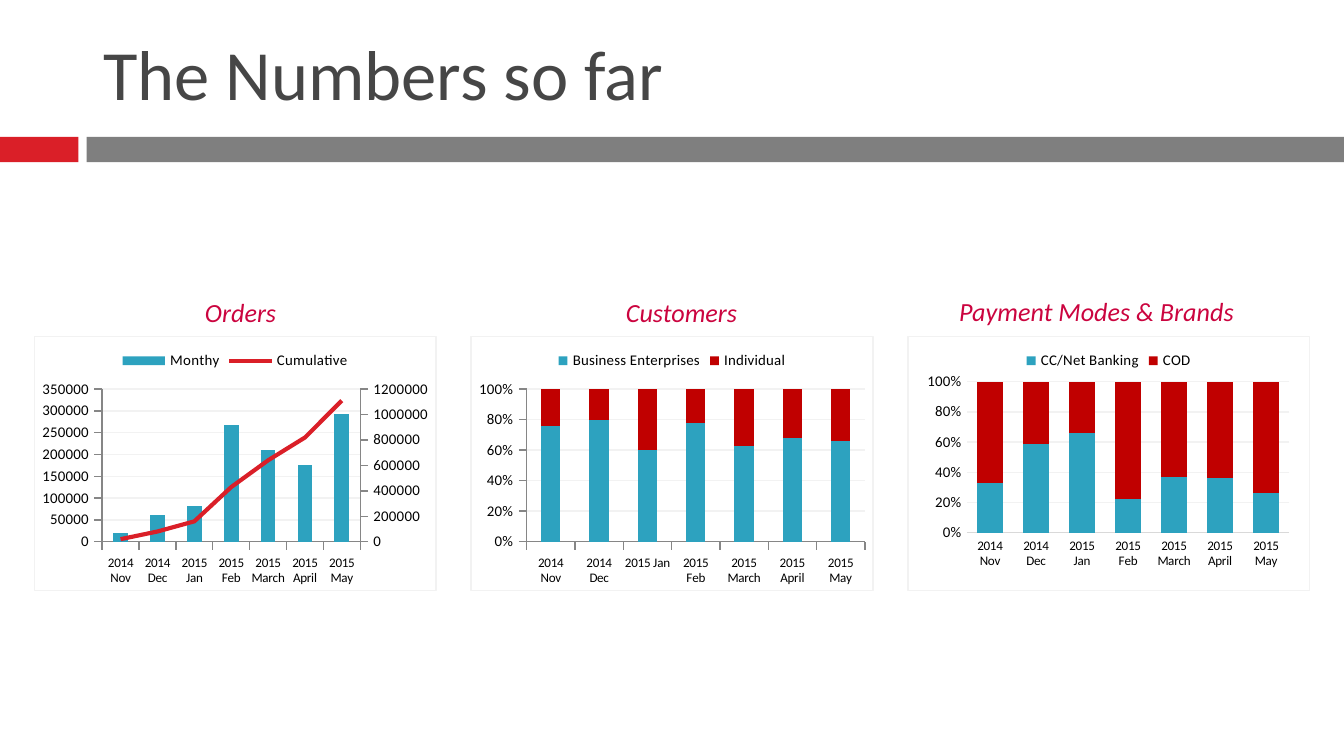
from dataclasses import dataclass
from typing import Optional

from pptx import Presentation
from pptx.chart.chart import Chart
from pptx.chart.data import CategoryChartData
from pptx.dml.color import RGBColor
from pptx.enum.chart import XL_CHART_TYPE as ChartType
from pptx.enum.chart import XL_LEGEND_POSITION as LegendPosition
from pptx.enum.chart import XL_MARKER_STYLE as MarkerStyle
from pptx.enum.chart import XL_TICK_MARK as TickMark
from pptx.enum.shapes import MSO_SHAPE as ShapeKind
from pptx.enum.text import MSO_ANCHOR as Anchor
from pptx.enum.text import MSO_AUTO_SIZE as AutoSize
from pptx.enum.text import PP_ALIGN as Align
from pptx.oxml import parse_xml
from pptx.oxml.ns import nsdecls, qn
from pptx.slide import Slide
from pptx.util import Pt


@dataclass(frozen=True)
class Theme:
    font: str = "Calibri"
    title: str = "464646"
    label: str = "CB043F"
    text: str = "000000"
    red: str = "DA1F28"
    grey: str = "7F7F7F"
    blue: str = "2DA2BF"
    dark_red: str = "C00000"
    axis: str = "868686"
    pale_axis: str = "D9D9D9"
    grid: str = "F2F2F2"
    title_size: float = 37.8
    label_size: float = 14
    chart_size: float = 8
    category_size: float = 7


@dataclass(frozen=True)
class Series:
    name: str
    values: tuple[int, ...]
    color: str


@dataclass(frozen=True)
class Panel:
    label: str
    label_left: float
    label_top: float
    kind: ChartType
    series: tuple[Series, Series]
    gap: int = 150
    ticks: bool = True
    plot: Optional[tuple[float, float, float, float]] = None


THEME = Theme()
MONTHS = ("2014 Nov", "2014 Dec", "2015 Jan", "2015 Feb", "2015 March", "2015 April", "2015 May")
PANELS = (
    Panel("Orders", 18, 155.5, ChartType.COLUMN_CLUSTERED, (
        Series("Monthy", (20000, 61000, 81000, 267000, 211000, 177000, 293000), THEME.blue),
        Series("Cumulative", (20000, 80000, 160000, 430000, 640000, 820000, 1110000), THEME.red))),
    Panel("Customers", 254.2, 155.5, ChartType.COLUMN_STACKED_100, (
        Series("Business Enterprises", (76, 80, 60, 78, 63, 68, 66), THEME.blue),
        Series("Individual", (24, 20, 40, 22, 37, 32, 34), THEME.dark_red))),
    Panel("Payment Modes & Brands", 476.6, 154.8, ChartType.COLUMN_STACKED_100, (
        Series("CC/Net Banking", (33, 59, 66, 22, 37, 36, 26), THEME.blue),
        Series("COD", (67, 41, 34, 78, 63, 64, 74), THEME.dark_red)),
        gap=75, ticks=False, plot=(0.147, 0.178, 0.802, 0.594)),
)
CHART_LEFT, CHART_TOP, CHART_STEP = 18, 180, 234
CHART_WIDTH, CHART_HEIGHT = 216, 136.8


def style_font(font, size: float, color: str) -> None:
    font.name = THEME.font
    font.size = Pt(size)
    font.color.rgb = RGBColor.from_string(color)


def style_line(line, color: str, width: float = 0.75) -> None:
    line.width = Pt(width)
    line.color.rgb = RGBColor.from_string(color)


def add_title(slide: Slide, text: str) -> None:
    title = slide.shapes.title
    title.left, title.top, title.width, title.height = Pt(48.2), Pt(9.4), Pt(642.2), Pt(55.4)
    frame = title.text_frame
    frame.text = text
    frame.vertical_anchor = Anchor.BOTTOM
    frame.auto_size = AutoSize.NONE
    para = frame.paragraphs[0]
    para.alignment = Align.LEFT
    style_font(para.runs[0].font, THEME.title_size, THEME.title)


def add_band(slide: Slide, left: float, width: float, color: str) -> None:
    band = slide.shapes.add_shape(ShapeKind.RECTANGLE, Pt(left), Pt(73.4), Pt(width), Pt(13.5))
    band.shadow.inherit = False
    band.fill.solid()
    band.fill.fore_color.rgb = RGBColor.from_string(color)
    band.line.fill.background()


def add_label(slide: Slide, panel: Panel) -> None:
    box = slide.shapes.add_textbox(Pt(panel.label_left), Pt(panel.label_top), Pt(221.8), Pt(24.5))
    frame = box.text_frame
    frame.word_wrap = True
    frame.auto_size = AutoSize.SHAPE_TO_FIT_TEXT
    frame.text = panel.label
    para = frame.paragraphs[0]
    para.alignment = Align.CENTER
    font = para.runs[0].font
    style_font(font, THEME.label_size, THEME.label)
    font.italic = True


def line_xml(color: str) -> str:
    return f'<a:ln w="9525"><a:solidFill><a:srgbClr val="{color}"/></a:solidFill></a:ln>'


def add_border(chart: Chart) -> None:
    border = parse_xml(f'<c:spPr {nsdecls("c", "a")}><a:noFill/>{line_xml(THEME.grid)}</c:spPr>')
    chart.element.find(qn("c:chart")).addnext(border)


def place_plot(chart: Chart, plot: tuple[float, float, float, float]) -> None:
    """Fix the inner plot area, given as fractions of the chart."""
    area = chart.element.find(".//" + qn("c:plotArea"))
    for layout in area.findall(qn("c:layout")):
        area.remove(layout)
    sizes = "".join(f'<c:{name} val="{value}"/>' for name, value in zip("xywh", plot))
    area.insert(0, parse_xml(
        f'<c:layout {nsdecls("c")}><c:manualLayout><c:layoutTarget val="inner"/>'
        f'<c:xMode val="edge"/><c:yMode val="edge"/>{sizes}</c:manualLayout></c:layout>'))


def move_to_right_axis(chart: Chart) -> None:
    """Turn the last column series into a line on a second value axis."""
    columns = chart.element.find(".//" + qn("c:barChart"))
    series = columns.findall(qn("c:ser"))[-1]
    for column_only in series.findall(qn("c:invertIfNegative")):
        series.remove(column_only)
    lines = parse_xml(
        f'<c:lineChart {nsdecls("c")}><c:grouping val="standard"/><c:varyColors val="0"/>'
        '<c:marker val="1"/><c:axId val="5001"/><c:axId val="5002"/></c:lineChart>')
    lines.insert(2, series)
    columns.addnext(lines)
    category_axis = parse_xml(
        f'<c:catAx {nsdecls("c")}><c:axId val="5001"/><c:scaling/><c:delete val="1"/>'
        '<c:axPos val="b"/><c:crossAx val="5002"/></c:catAx>')
    value_axis = parse_xml(
        f'<c:valAx {nsdecls("c", "a")}><c:axId val="5002"/><c:scaling/><c:delete val="0"/>'
        '<c:axPos val="r"/><c:numFmt formatCode="General" sourceLinked="0"/>'
        '<c:majorTickMark val="out"/><c:minorTickMark val="none"/><c:tickLblPos val="nextTo"/>'
        f'<c:spPr>{line_xml(THEME.axis)}</c:spPr>'
        '<c:crossAx val="5001"/><c:crosses val="max"/></c:valAx>')
    chart.element.find(".//" + qn("c:valAx")).addnext(value_axis)
    value_axis.addnext(category_axis)
    line = chart.plots[1].series[0]
    line.smooth = False
    line.marker.style = MarkerStyle.NONE
    style_line(line.format.line, THEME.red, 2.25)


def style_axes(chart: Chart, panel: Panel) -> None:
    tick = TickMark.OUTSIDE if panel.ticks else TickMark.NONE
    categories, values = chart.category_axis, chart.value_axis
    for axis in (categories, values):
        axis.major_tick_mark = tick
        axis.minor_tick_mark = TickMark.NONE
        style_line(axis.format.line, THEME.axis if panel.ticks else THEME.pale_axis)
    style_font(categories.tick_labels.font, THEME.category_size, THEME.text)
    category_text = chart.element.find(".//" + qn("c:catAx")).find(qn("c:txPr"))
    category_text.find(qn("a:bodyPr")).set("rot", "-60000000")
    if not panel.ticks:
        values.format.line.fill.background()
    values.has_major_gridlines = True
    style_line(values.major_gridlines.format.line, THEME.grid)
    stacked = panel.kind == ChartType.COLUMN_STACKED_100
    values.tick_labels.number_format = "0%" if stacked else "General"
    values.tick_labels.number_format_is_linked = False


def add_panel_chart(slide: Slide, panel: Panel, left: float) -> None:
    data = CategoryChartData()
    data.categories = MONTHS
    for series in panel.series:
        data.add_series(series.name, series.values)
    chart = slide.shapes.add_chart(
        panel.kind, Pt(left), Pt(CHART_TOP), Pt(CHART_WIDTH), Pt(CHART_HEIGHT), data).chart
    style_font(chart.font, THEME.chart_size, THEME.text)
    chart.has_title = False
    chart.has_legend = True
    chart.legend.position = LegendPosition.TOP
    chart.legend.include_in_layout = False
    columns = chart.plots[0]
    columns.gap_width = panel.gap
    columns.vary_by_categories = False
    for drawn, series in zip(columns.series, panel.series):
        drawn.format.fill.solid()
        drawn.format.fill.fore_color.rgb = RGBColor.from_string(series.color)
    style_axes(chart, panel)
    add_border(chart)
    if panel.kind == ChartType.COLUMN_CLUSTERED:
        move_to_right_axis(chart)
    else:
        columns.overlap = 100
    if panel.plot:
        place_plot(chart, panel.plot)


def main() -> None:
    deck = Presentation()
    deck.slide_width, deck.slide_height = Pt(720), Pt(405)
    slide = deck.slides.add_slide(deck.slide_layouts[5])
    add_band(slide, 0, 42, THEME.red)
    add_band(slide, 46.5, 673.5, THEME.grey)
    add_title(slide, "The Numbers so far")
    for index, panel in enumerate(PANELS):
        add_label(slide, panel)
        add_panel_chart(slide, panel, CHART_LEFT + index * CHART_STEP)
    deck.save("out.pptx")


if __name__ == "__main__":
    main()
